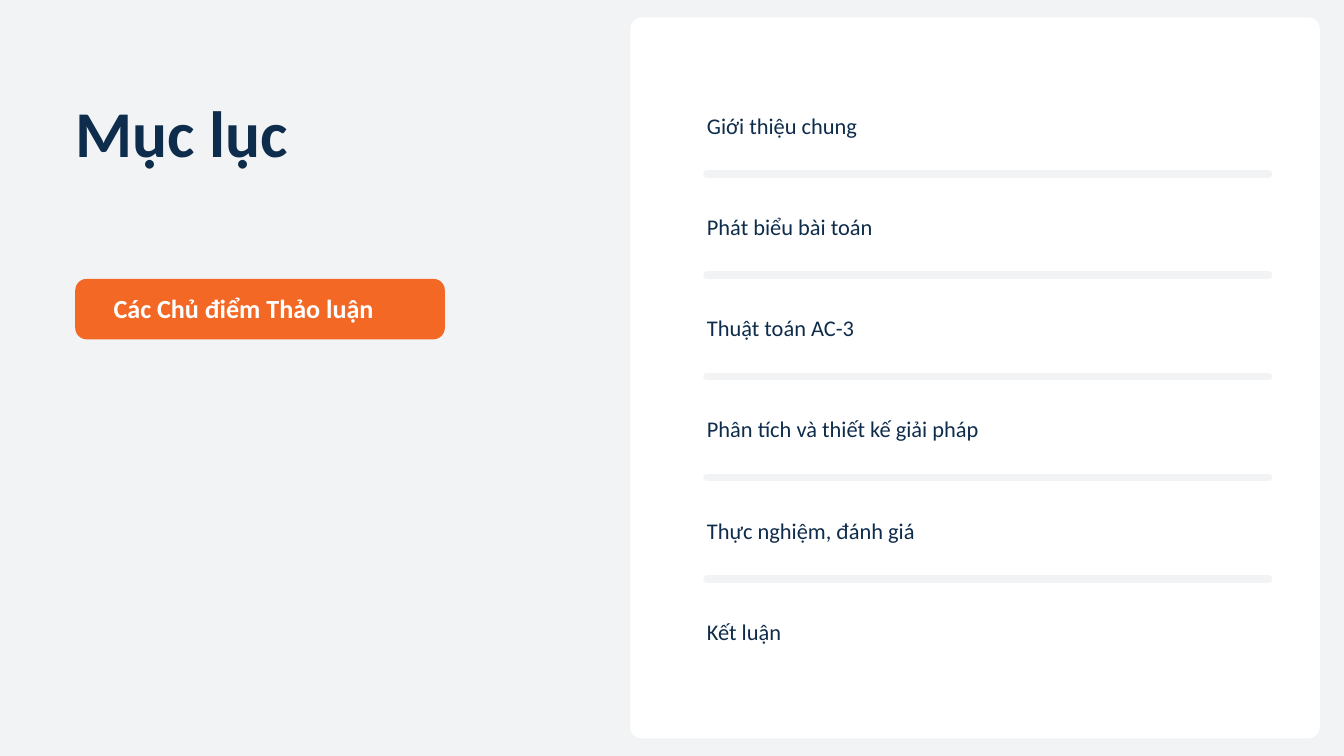
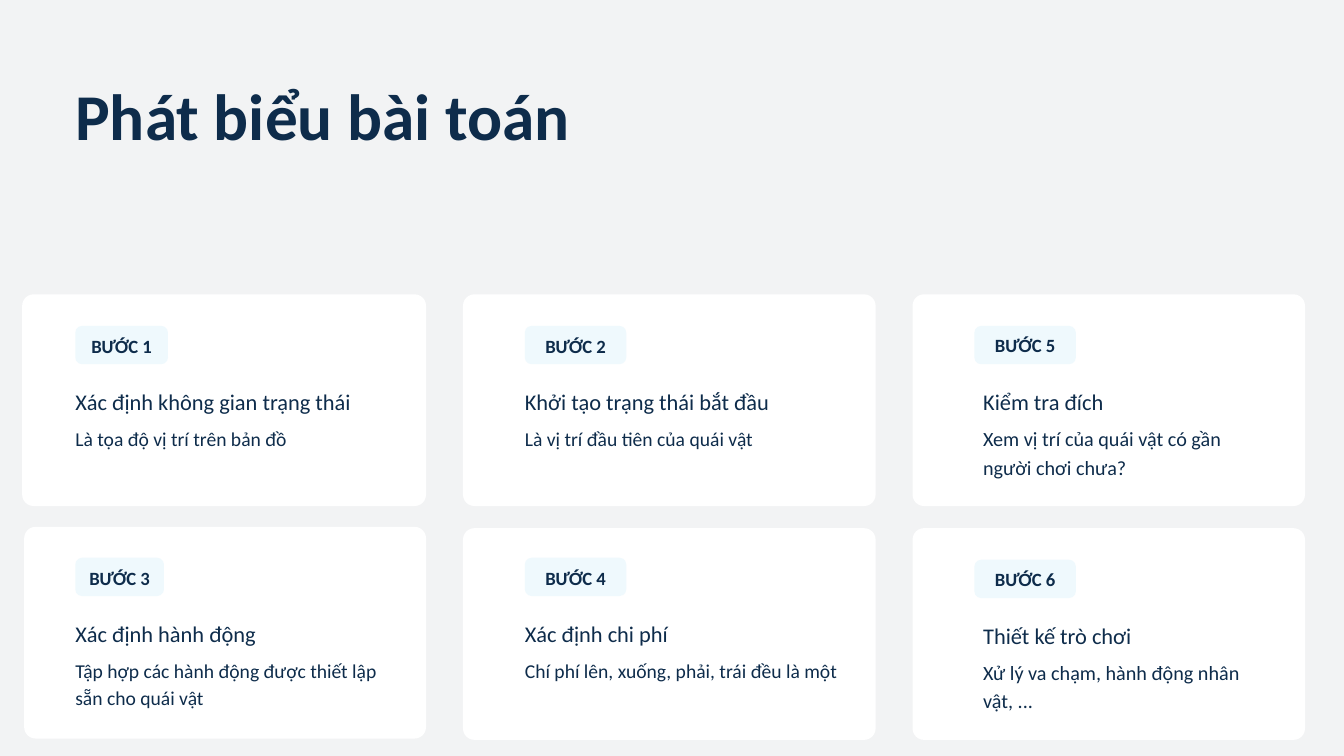
from dataclasses import dataclass

from lxml import etree
from pptx import Presentation
from pptx.dml.color import RGBColor as RGB
from pptx.enum.shapes import MSO_CONNECTOR as CONN, MSO_SHAPE as SHAPE
from pptx.enum.text import MSO_AUTO_SIZE as AUTO, PP_ALIGN as ALIGN
from pptx.oxml.ns import qn
from pptx.util import Inches, Pt


@dataclass(frozen=True)
class Theme:
    font: str = "Calibri"
    background: RGB = RGB(0xF2, 0xF3, 0xF4)
    card: RGB = RGB(0xFF, 0xFF, 0xFF)
    navy: RGB = RGB(0x0E, 0x2C, 0x4B)
    orange: RGB = RGB(0xF3, 0x68, 0x25)
    badge: RGB = RGB(0xEF, 0xF9, 0xFD)
    # type styles: size, line spacing, bold
    title: tuple = (70, 84, True)
    banner: tuple = (28, 33.6, True)
    heading: tuple = (24, 33.6, False)
    body: tuple = (21, 29.4, False)
    body_large: tuple = (21.6, 30.2, False)
    label: tuple = (20, 28, True)


theme = Theme()


def add_text(slide, text, x, y, w, h, style, color=theme.navy, align=ALIGN.LEFT):
    size, spacing, bold = style
    tf = slide.shapes.add_textbox(Inches(x), Inches(y), Inches(w), Inches(h)).text_frame
    tf.margin_left = tf.margin_right = tf.margin_top = tf.margin_bottom = 0
    tf.word_wrap = True
    tf.auto_size = AUTO.SHAPE_TO_FIT_TEXT
    tf.text = text
    p = tf.paragraphs[0]
    p.alignment = align
    p.line_spacing = Pt(spacing)
    font = p.runs[0].font
    font.name, font.size, font.bold = theme.font, Pt(size), bold
    font.color.rgb = color


def add_panel(slide, x, y, w, h, color, radius=0.17):
    """Add a borderless rounded rectangle with its corner radius in inches."""
    sp = slide.shapes.add_shape(SHAPE.ROUNDED_RECTANGLE, Inches(x), Inches(y), Inches(w), Inches(h))
    sp.adjustments[0] = radius / min(w, h)
    sp.shadow.inherit = False
    sp.fill.solid()
    sp.fill.fore_color.rgb = color
    sp.line.fill.background()


prs = Presentation()
prs.slide_width, prs.slide_height = Inches(20), Inches(11.25)
blank = prs.slide_layouts[6]
contents, steps = [prs.slides.add_slide(blank) for _ in range(2)]
margin = 1.12

for s, title, y, w in [(contents, "Mục lục", 1.37, 6.75),
                       (steps, "Phát biểu bài toán", 1.12, 12.56)]:
    s.background.fill.solid()
    s.background.fill.fore_color.rgb = theme.background
    add_text(s, title, margin, y, w, 1.17, theme.title)

# Slide 1: table of contents
add_panel(contents, 9.38, 0.26, 10.26, 10.73, theme.card)
add_panel(contents, margin, 4.15, 5.5, 0.9, theme.orange)
add_text(contents, "Các Chủ điểm Thảo luận", 1.69, 4.35, 4.58, 0.46, theme.banner, theme.card)

topics = [
    "Giới thiệu chung",
    "Phát biểu bài toán",
    "Thuật toán AC-3",
    "Phân tích và thiết kế giải pháp",
    "Thực nghiệm, đánh giá",
    "Kết luận",
]
topic_left, topic_top, topic_pitch = 10.52, 1.6, 1.506
for i, topic in enumerate(topics):
    y = topic_top + i * topic_pitch
    add_text(contents, topic, topic_left, y, 7.5, 0.43, theme.heading)
    if i < len(topics) - 1:
        rule_y = Inches(y + 0.99)
        rule = contents.shapes.add_connector(
            CONN.STRAIGHT, Inches(topic_left), rule_y, Inches(18.88), rule_y)
        rule.line.color.rgb = theme.background
        rule.line.width = Pt(8)
        rule.line._get_or_add_ln().set("cap", "rnd")
        etree.SubElement(rule._element.spPr, qn("a:effectLst"))

# Slide 2: columns hold card right edge, badge left, text left, text width, body style
columns = [
    (6.34, margin, margin, 4.78, theme.body),
    (13.03, 7.81, 7.81, 5.22, theme.body),
    (19.42, 14.5, 14.63, 3.92, theme.body_large),
]
# column, card left, card top, badge top, badge width, step, heading, body
cards = [
    (0, 0.33, 4.38, 4.85, 1.38, 1, "Xác định không gian trạng thái", "Là tọa độ vị trí trên bản đồ"),
    (1, 6.89, 4.38, 4.85, 1.51, 2, "Khởi tạo trạng thái bắt đầu", "Là vị trí đầu tiên của quái vật"),
    (0, 0.36, 7.84, 8.3, 1.32, 3, "Xác định hành động",
     "Tập hợp các hành động được thiết lập sẵn cho quái vật"),
    (1, 6.89, 7.86, 8.3, 1.51, 4, "Xác định chi phí", "Chí phí lên, xuống, phải, trái đều là một"),
    (2, 13.58, 4.38, 4.85, 1.51, 5, "Kiểm tra đích", "Xem vị trí của quái vật có gần người chơi chưa?"),
    (2, 13.58, 7.86, 8.33, 1.51, 6, "Thiết kế trò chơi", "Xử lý va chạm, hành động nhân vật, ..."),
]
label_inset = 0.16
for col, left, top, badge_top, badge_w, step, heading, body in cards:
    right, badge_left, text_left, text_w, body_style = columns[col]
    label_drop = 0.06 if col == 2 else 0.08
    body_h = 0.78 if step in (3, 5, 6) else 0.38
    add_panel(steps, left, top, right - left, 3.15, theme.card)
    add_panel(steps, badge_left, badge_top, badge_w, 0.57, theme.badge, radius=0.1)
    add_text(steps, f"BƯỚC {step}", badge_left + label_inset, badge_top + label_drop,
             badge_w - 2 * label_inset, 0.38, theme.label, align=ALIGN.CENTER)
    add_text(steps, heading, text_left, badge_top + 0.86, text_w, 0.43, theme.heading)
    add_text(steps, body, text_left, badge_top + 1.44, text_w, body_h, body_style)

prs.save("out.pptx")
